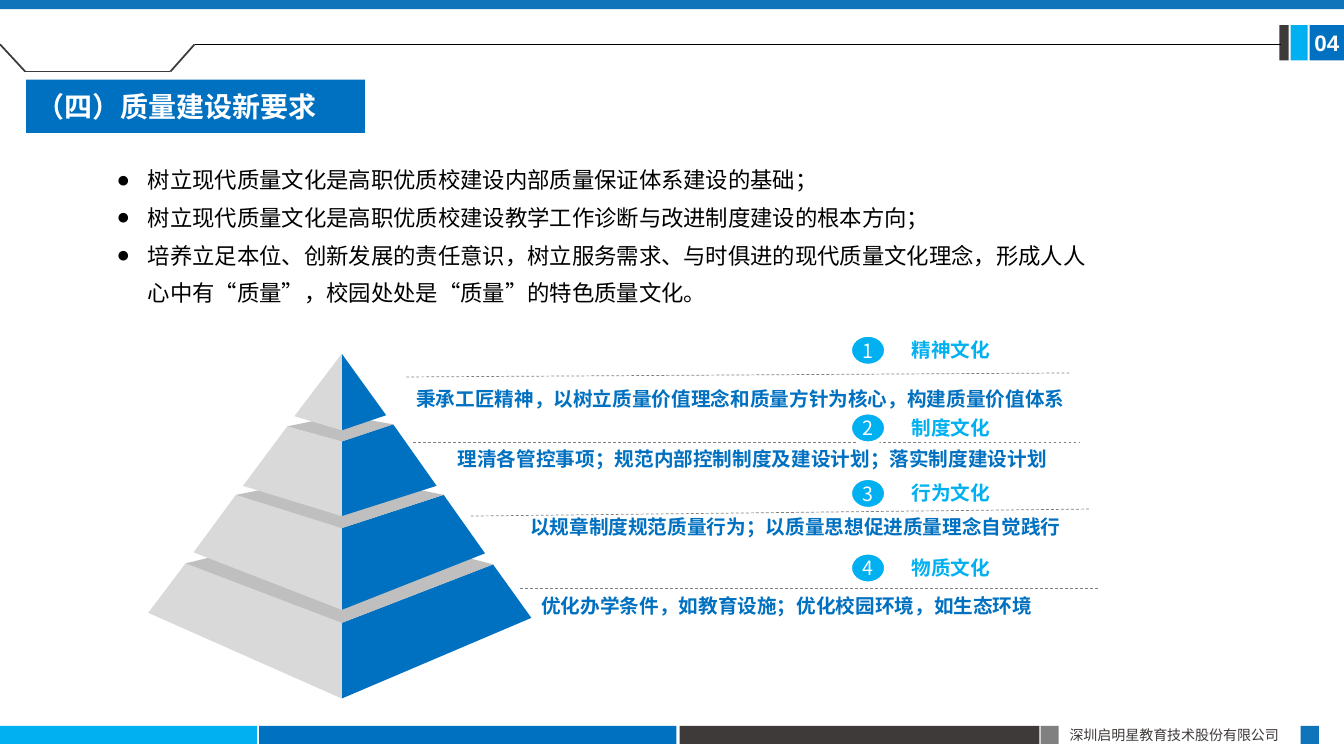
from lxml import etree
from pptx import Presentation
from pptx import util as u
from pptx.dml.color import RGBColor
from pptx.enum import dml, shapes, text
from pptx.oxml import ns

COLORS = {
    "blue": "0070C0", "bar": "1074BB", "cyan": "00B0F0", "dark": "3E3A39",
    "gray": "808080", "side": "D9D9D9", "ledge": "BFBFBF",
    "white": "FFFFFF", "black": "000000",
}
CJK = "Noto Sans CJK SC"
RECT = shapes.MSO_SHAPE.RECTANGLE
OVAL = shapes.MSO_SHAPE.OVAL
ALIGN = text.PP_ALIGN
MIDDLE = text.MSO_ANCHOR.MIDDLE

BULLETS = [
    "树立现代质量文化是高职优质校建设内部质量保证体系建设的基础；",
    "树立现代质量文化是高职优质校建设教学工作诊断与改进制度建设的根本方向；",
    "培养立足本位、创新发展的责任意识，树立服务需求、与时俱进的现代质量文化理念，"
    "形成人人心中有“质量”，校园处处是“质量”的特色质量文化。",
]

# heading, description, heading top, rule (x1, y1, x2, y2), description (left, top)
CULTURES = [
    ("精神文化", "秉承工匠精神，以树立质量价值理念和质量方针为核心，构建质量价值体系",
     3.26, (4.03, 3.74, 10.61, 3.7), (4.03, 3.74)),
    ("制度文化", "理清各管控事项；规范内部控制制度及建设计划；落实制度建设计划",
     4.03, (4.1, 4.39, 10.71, 4.39), (4.44, 4.34)),
    ("行为文化", "以规章制度规范质量行为；以质量思想促进质量理念自觉践行",
     4.68, (4.67, 5.12, 10.8, 5.05), (5.16, 5.01)),
    ("物质文化", "优化办学条件，如教育设施；优化校园环境，如生态环境",
     5.42, (5.16, 5.84, 10.9, 5.84), (5.27, 5.8)),
]

# Each tier, measured from the apex: ledge back y, front edge top and bottom y,
# then top and bottom corners of the left and right faces
TIERS = [
    (None, 0, 0.76, (0, 0), (-0.47, 0.62), (0, 0), (0.44, 0.61)),
    (0.61, 0.87, 1.61, (-0.54, 0.72), (-0.98, 1.31), (0.51, 0.7), (0.94, 1.31)),
    (1.19, 1.73, 2.54, (-1.05, 1.4), (-1.47, 1.97), (1.01, 1.4), (1.42, 1.98)),
    (1.7, 2.67, 3.42, (-1.55, 2.08), (-1.92, 2.57), (1.5, 2.09), (1.88, 2.62)),
]


def rgb(name):
    return RGBColor.from_string(COLORS[name])


def paint(sp, fill):
    sp.shadow.inherit = False
    sp.fill.solid()
    sp.fill.fore_color.rgb = rgb(fill)
    sp.line.fill.background()
    return sp


def add_block(s, left, top, width, height, fill, kind=RECT):
    box = (u.Inches(v) for v in (left, top, width, height))
    return paint(s.shapes.add_shape(kind, *box), fill)


def add_line(s, x1, y1, x2, y2, color, width, dashed=False):
    ends = (u.Inches(v) for v in (x1, y1, x2, y2))
    line = s.shapes.add_connector(shapes.MSO_CONNECTOR.STRAIGHT, *ends)
    line.line.color.rgb = rgb(color)
    line.line.width = u.Pt(width)
    if dashed:
        line.line.dash_style = dml.MSO_LINE.DASH
    etree.SubElement(line._element.spPr, ns.qn("a:effectLst"))


def add_face(s, left, top, points, fill):
    """Draw a closed outline whose points are measured from (left, top)."""
    pts = [(u.Inches(left + x), u.Inches(top + y)) for x, y in points]
    builder = s.shapes.build_freeform(*pts[0])
    builder.add_line_segments(pts[1:], close=True)
    paint(builder.convert_to_shape(), fill)


def write(p, words, size, color, bold=False, font=CJK, align=ALIGN.LEFT):
    p.alignment = align
    r = p.add_run()
    r.text = words
    r.font.name = font
    r.font.size = u.Pt(size)
    r.font.bold = bold
    r.font.color.rgb = rgb(color)
    ea = etree.SubElement(r._r.get_or_add_rPr(), ns.qn("a:ea"))
    ea.set("typeface", CJK)


def write_number(sp, number, size, bold=False, font=CJK):
    """Centre a white number in a small shape, without margins."""
    tf = sp.text_frame
    tf.margin_left = tf.margin_right = tf.margin_top = tf.margin_bottom = 0
    tf.word_wrap = False
    tf.vertical_anchor = MIDDLE
    write(tf.paragraphs[0], number, size, "white", bold, font, ALIGN.CENTER)


def add_text_frame(s, left, top, width, height):
    box = (u.Inches(v) for v in (left, top, width, height))
    tf = s.shapes.add_textbox(*box).text_frame
    tf.word_wrap = True
    return tf


def add_header(s, width):
    add_block(s, 0, 0, width, 0.09, "bar")
    add_block(s, width - 0.64, 0.25, 0.09, 0.35, "dark")
    add_block(s, width - 0.53, 0.25, 0.17, 0.35, "cyan")
    page = add_block(s, width - 0.34, 0.25, 0.34, 0.35, "blue")
    write_number(page, "04", 16, True, "Arial")
    tab = [(0, 0.44), (0.25, 0.71), (1.69, 0.71), (1.93, 0.44)]
    for start, end in zip(tab, tab[1:]):
        add_line(s, *start, *end, "dark", 1.25)
    add_line(s, 1.93, 0.44, width - 0.62, 0.44, "black", 0.5)


def add_footer(s, top):
    for left, w, fill in ((0, 2.55, "cyan"), (2.57, 4.14, "blue"),
                          (6.74, 3.57, "dark"), (10.32, 0.18, "gray"),
                          (12.9, 0.18, "bar")):
        add_block(s, left, top, w, 0.18, fill)
    tf = add_text_frame(s, 10.51, top - 0.04, 2.4, 0.27)
    write(tf.paragraphs[0], "深圳启明星教育技术股份有限公司", 10, "dark")


def add_title(s, left, top, width, height):
    tf = add_block(s, left, top, width, height, "blue").text_frame
    tf.word_wrap = True
    tf.vertical_anchor = MIDDLE
    write(tf.paragraphs[0], "（四）质量建设新要求", 20, "white", True, "Calibri")


def add_bullets(s, left, top, width, height):
    tf = add_text_frame(s, left, top, width, height)
    for i, words in enumerate(BULLETS):
        p = tf.add_paragraph() if i else tf.paragraphs[0]
        p.line_spacing = u.Pt(27)
        pPr = p._p.get_or_add_pPr()
        pPr.set("marL", str(u.Inches(0.31)))
        pPr.set("indent", str(-u.Inches(0.31)))
        etree.SubElement(pPr, ns.qn("a:buFont")).set("typeface", "Arial")
        etree.SubElement(pPr, ns.qn("a:buChar")).set("char", "●")
        write(p, words, 16, "black")


def add_pyramid(s, left, top):
    """Stack the tiers from the base up, with the apex at (left, top)."""
    for back, front, base, lt, lb, rt, rb in reversed(TIERS):
        add_face(s, left, top, [(0, front), rt, rb, (0, base)], "blue")
        add_face(s, left, top, [(0, front), lt, lb, (0, base)], "side")
        if back is not None:
            add_face(s, left, top, [rt, (0, back), lt, (0, front)], "ledge")


def add_culture(s, number, heading, description, top, rule, corner):
    add_line(s, *rule, "gray", 0.5, dashed=True)
    tf = add_text_frame(s, 8.82, top, 1.1, 0.42)
    tf.vertical_anchor = MIDDLE
    write(tf.paragraphs[0], heading, 14, "cyan", True, align=ALIGN.RIGHT)

    badge = add_block(s, 8.43, top + 0.06, 0.36, 0.31, "cyan", OVAL)
    badge.line.color.rgb = rgb("white")
    badge.line.width = u.Pt(3)
    write_number(badge, str(number), 14)

    left, y = corner
    p = add_text_frame(s, left, y, 10.89 - left, 0.6).paragraphs[0]
    p.line_spacing = u.Pt(20)
    write(p, description, 14, "blue", True)


def main():
    prs = Presentation()
    prs.slide_width = u.Inches(13.33)
    prs.slide_height = u.Inches(7.5)
    s = prs.slides.add_slide(prs.slide_layouts[6])
    add_footer(s, 7.2)
    add_header(s, 13.33)
    add_title(s, 0.26, 0.79, 3.36, 0.53)
    add_bullets(s, 1.06, 1.49, 9.83, 1.57)
    add_pyramid(s, 3.39, 3.51)
    for number, culture in enumerate(CULTURES, 1):
        add_culture(s, number, *culture)
    prs.save("out.pptx")


if __name__ == "__main__":
    main()
